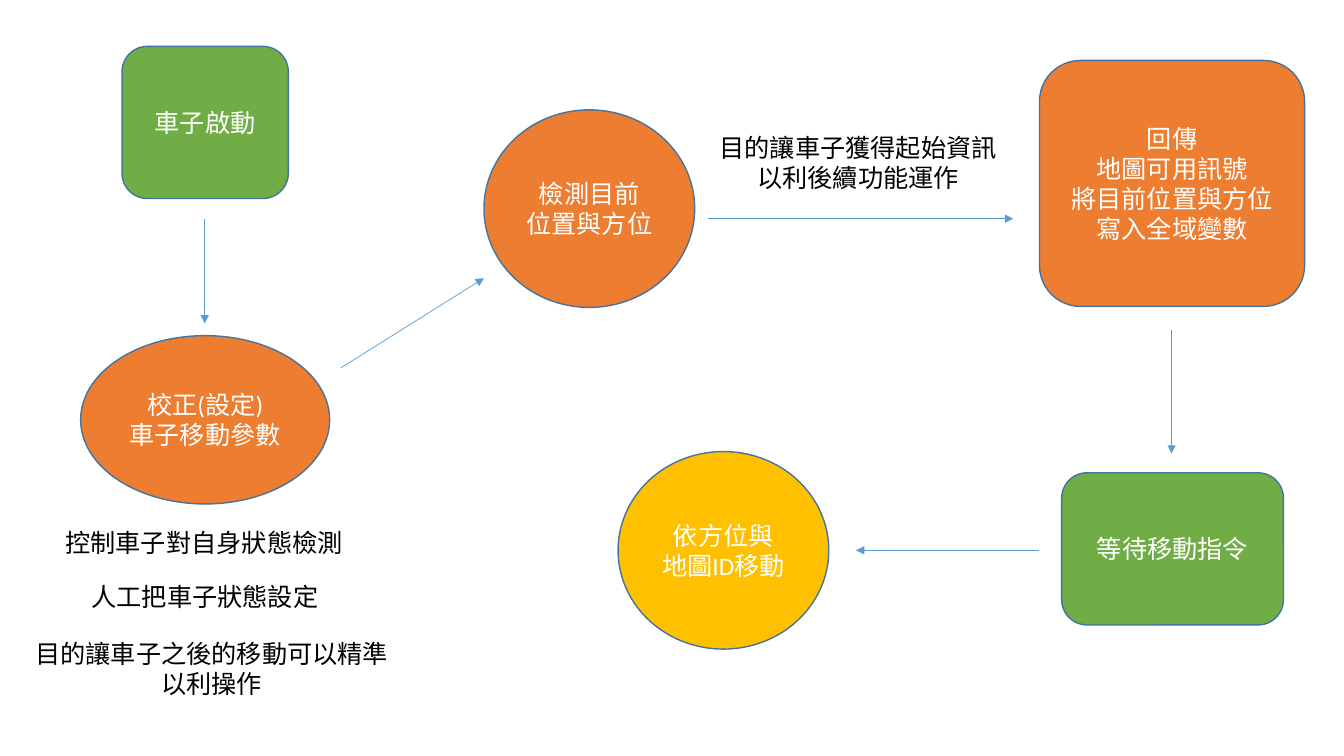
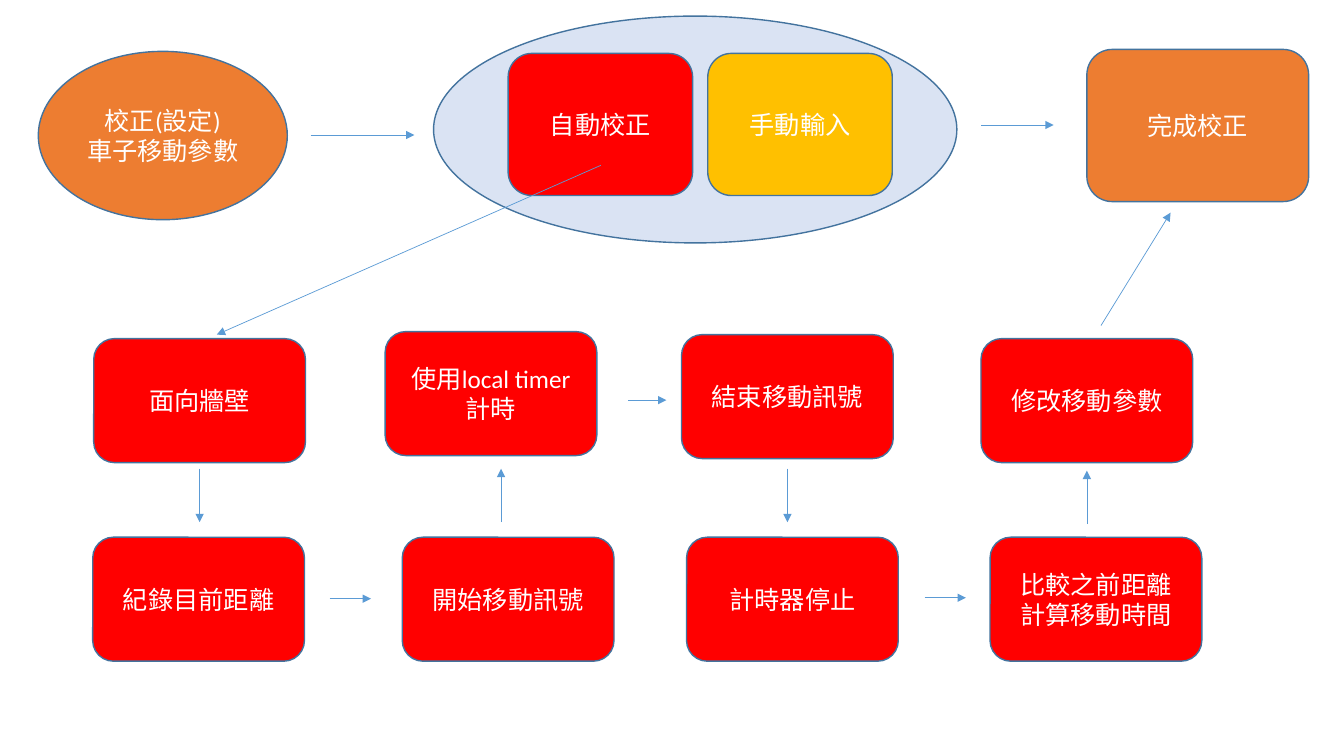
"""Builds two flow charts for a car: start-up and calibration."""
from pptx import Presentation
from pptx.dml.color import RGBColor as RGB
from pptx.enum.shapes import MSO_CONNECTOR as CON, MSO_SHAPE as SHAPE
from pptx.enum.text import MSO_ANCHOR as ANCHOR, MSO_AUTO_SIZE as AUTO, PP_ALIGN as ALIGN
from pptx.oxml.ns import qn
from pptx.util import Inches, Pt
from lxml.etree import SubElement as Sub

WHITE, BLACK = RGB(255, 255, 255), RGB(0, 0, 0)
ORANGE, GREEN = RGB(0xED, 0x7D, 0x31), RGB(0x70, 0xAD, 0x47)
GOLD, RED, PALE = RGB(0xFF, 0xC0, 0), RGB(0xFF, 0, 0), RGB(0xDA, 0xE3, 0xF3)
EDGE, BLUE = RGB(0x43, 0x73, 0x9E), RGB(0x5B, 0x9B, 0xD5)
FONT, SIZE = "Calibri", 18

OVAL, ROUND = SHAPE.OVAL, SHAPE.ROUNDED_RECTANGLE
TUNE = (OVAL, ORANGE, 2.47, 1.67)
DISC = (OVAL, ORANGE, 2.09, 1.96)
MOVE = (OVAL, GOLD, 2.09, 1.96)
START = (ROUND, GREEN, 1.65, 1.51)
REPLY = (ROUND, ORANGE, 2.63, 2.44)
WAIT = (ROUND, GREEN, 2.2, 1.51)
DONE = (ROUND, ORANGE, 2.2, 1.51)
STEP = (ROUND, RED, 2.1, 1.23)
GROUP = (OVAL, PALE, 5.19, 2.25)
SELF = (ROUND, RED, 1.83, 1.41)
HAND = (ROUND, GOLD, 1.83, 1.41)
TUNING = "校正(設定)\v車子移動參數"

SLIDES = [
    dict(
        nodes=[
            (TUNE, 0.8, 3.33, TUNING),
            (REPLY, 10.31, 0.6, "回傳\v地圖可用訊號\v將目前位置與方位寫入全域變數"),
            (DISC, 4.8, 1.09, "檢測目前\v位置與方位"),
            (START, 1.21, 0.46, "車子啟動"),
            (WAIT, 10.53, 4.69, "等待移動指令"),
            (MOVE, 6.13, 4.48, "依方位與\n地圖ID移動"),
        ],
        arrows=[
            (3.38, 3.65, 4.8, 2.76),
            (7.02, 2.17, 10.05, 2.17),
            (2.03, 2.17, 2.03, 3.21),
            (11.62, 3.27, 11.62, 4.5),
            (10.31, 5.46, 8.49, 5.46),
        ],
        notes=[
            (0.55, 5.18, 2.98, 0.4, ALIGN.LEFT, "控制車子對自身狀態檢測"),
            (0.81, 5.72, 2.47, 0.4, ALIGN.LEFT, "人工把車子狀態設定"),
            (0.23, 6.28, 3.74, 0.71, ALIGN.CENTER, "目的讓車子之後的移動可以精準\v以利操作"),
            (7.02, 1.26, 2.98, 0.71, ALIGN.CENTER, "目的讓車子獲得起始資訊\v以利後續功能運作"),
        ],
    ),
    dict(
        nodes=[
            (TUNE, 0.38, 0.51, TUNING),
            (DONE, 10.78, 0.49, "完成校正"),
            (STEP, 0.93, 3.36, "面向牆壁"),
            (STEP, 0.92, 5.33, "紀錄目前距離"),
            (STEP, 3.99, 5.33, "開始移動訊號"),
            (STEP, 3.82, 3.29, "使用local timer\v計時"),
            (STEP, 6.76, 3.32, "結束移動訊號"),
            (STEP, 6.81, 5.33, "計時器停止"),
            (STEP, 9.82, 5.33, "比較之前距離\v計算移動時間"),
            (STEP, 9.73, 3.36, "修改移動參數"),
            (GROUP, 4.3, 0.16, ""),
            (SELF, 5.04, 0.53, "自動校正"),
            (HAND, 7.02, 0.53, "手動輸入"),
        ],
        arrows=[
            (1.98, 4.65, 1.98, 5.18),
            (3.27, 5.94, 3.68, 5.94),
            (4.97, 5.18, 4.97, 4.65),
            (6.23, 3.97, 6.61, 3.97),
            (7.81, 4.65, 7.81, 5.18),
            (9.17, 5.93, 9.58, 5.93),
            (10.78, 5.2, 10.78, 4.67),
            (10.92, 3.23, 11.61, 2.11),
            (5.96, 1.64, 2.15, 3.32),
            (9.73, 1.24, 10.45, 1.24),
            (3.08, 1.34, 4.11, 1.34),
        ],
        notes=[],
    ),
]


def write(frame, text, color=WHITE, align=ALIGN.CENTER, anchor=ANCHOR.MIDDLE, wrap=True):
    frame.word_wrap = wrap
    frame.vertical_anchor = anchor
    frame.text = text
    for para in frame.paragraphs:
        para.alignment = align
        for run in para.runs:
            run.font.name, run.font.size = FONT, Pt(SIZE)
            run.font.color.rgb = color


def node(slide, style, x, y, text):
    kind, fill, w, h = style
    shape = slide.shapes.add_shape(kind, *map(Inches, (x, y, w, h)))
    shape.shadow.inherit = False
    shape.fill.solid()
    shape.fill.fore_color.rgb = fill
    shape.line.color.rgb = EDGE
    shape.line.width = Pt(1)
    if text:
        write(shape.text_frame, text)


def arrow(slide, *ends):
    link = slide.shapes.add_connector(CON.STRAIGHT, *map(Inches, ends))
    link.line.color.rgb = BLUE
    link.line.width = Pt(0.5)
    Sub(link.line._get_or_add_ln(), qn("a:tailEnd"), type="triangle")
    Sub(link._element.spPr, qn("a:effectLst"))


def note(slide, x, y, w, h, align, text):
    frame = slide.shapes.add_textbox(*map(Inches, (x, y, w, h))).text_frame
    write(frame, text, color=BLACK, align=align, anchor=ANCHOR.TOP, wrap=False)
    frame.auto_size = AUTO.SHAPE_TO_FIT_TEXT


deck = Presentation()
deck.slide_width, deck.slide_height = Inches(13.33), Inches(7.5)
for page in SLIDES:
    slide = deck.slides.add_slide(deck.slide_layouts[6])
    for draw, key in ((node, "nodes"), (arrow, "arrows"), (note, "notes")):
        for item in page[key]:
            draw(slide, *item)
deck.save("out.pptx")
